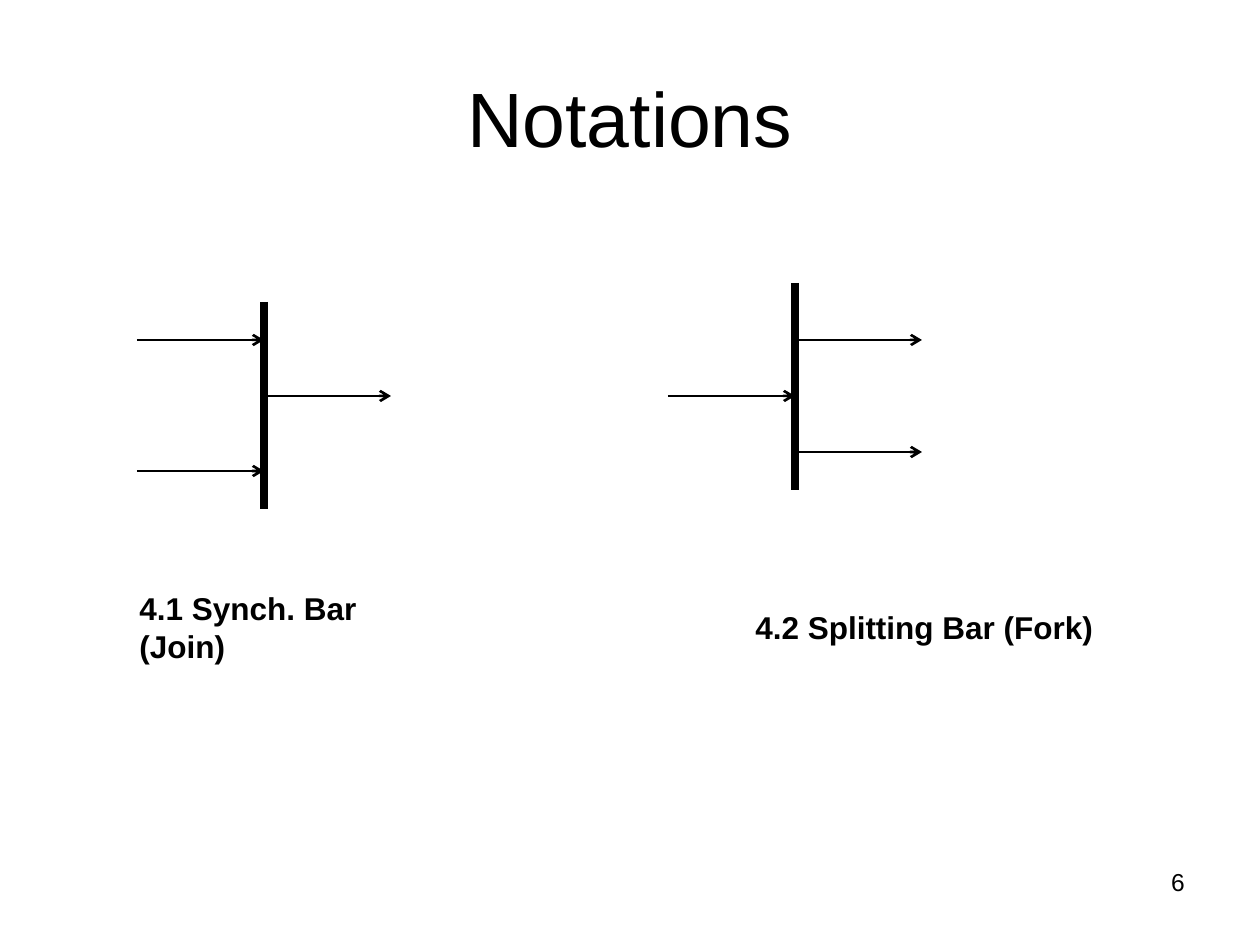
from lxml import etree
from pptx import Presentation
from pptx.dml.color import RGBColor
from pptx.enum.shapes import MSO_CONNECTOR
from pptx.enum.text import MSO_ANCHOR, PP_ALIGN
from pptx.oxml.ns import qn
from pptx.util import Pt

EMU_PER_PX = 914400 / 126
STRAIGHT = MSO_CONNECTOR.STRAIGHT
LEFT, CENTER, RIGHT = PP_ALIGN.LEFT, PP_ALIGN.CENTER, PP_ALIGN.RIGHT
TOP, MIDDLE = MSO_ANCHOR.TOP, MSO_ANCHOR.MIDDLE
COLORS = {"ink": "000000", "background": "FFFFFF"}
ARROW_LENGTH = 127


def px(value):
    return round(value * EMU_PER_PX)


class NotationSlide:
    font_name = "Arial"

    def __init__(self, slide):
        self.slide = slide
        self.ink = RGBColor.from_string(COLORS["ink"])
        fill = slide.background.fill
        fill.solid()
        fill.fore_color.rgb = RGBColor.from_string(COLORS["background"])

    def text(self, text, box, size=18, bold=False, align=LEFT, anchor=TOP, wrap=True):
        shape = self.slide.shapes.add_textbox(*map(px, box))
        frame = shape.text_frame
        frame.word_wrap = wrap
        frame.vertical_anchor = anchor
        paragraph = frame.paragraphs[0]
        paragraph.alignment = align
        run = paragraph.add_run()
        run.text = text
        run.font.name = self.font_name
        run.font.size = Pt(size)
        run.font.bold = bold
        run.font.color.rgb = self.ink

    def line(self, start, end, width):
        connector = self.slide.shapes.add_connector(
            STRAIGHT, *map(px, (*start, *end)))
        connector.line.color.rgb = self.ink
        connector.line.width = Pt(width)
        etree.SubElement(connector._element.spPr, qn("a:effectLst"))
        return connector

    def arrow(self, x, y):
        connector = self.line((x, y), (x + ARROW_LENGTH, y), 1.5)
        etree.SubElement(connector.line._get_or_add_ln(), qn("a:tailEnd"), type="arrow")

    def bar(self, x, top, incoming, outgoing):
        """Draw a vertical bar with arrows at the given heights."""
        self.line((x, top), (x, top + 207), 4.5)
        for y in incoming:
            self.arrow(x - ARROW_LENGTH, y)
        for y in outgoing:
            self.arrow(x, y)


def main():
    presentation = Presentation()
    presentation.slide_width = px(1260)
    presentation.slide_height = px(945)
    notation = NotationSlide(
        presentation.slides.add_slide(presentation.slide_layouts[6]))

    notation.text("Notations", (63, 38, 1134, 157), size=44, align=CENTER, anchor=MIDDLE)
    notation.text("6", (903, 861, 294, 66), size=14, align=RIGHT)

    notation.text("4.1 Synch. Bar (Join)", (127, 583, 336, 50), bold=True, wrap=False)
    notation.bar(264, 302, incoming=(340, 471), outgoing=(396,))

    notation.text("4.2 Splitting Bar (Fork)", (743, 602, 363, 50), bold=True, wrap=False)
    notation.bar(795, 283, incoming=(396,), outgoing=(340, 452))

    presentation.save("out.pptx")


if __name__ == "__main__":
    main()
